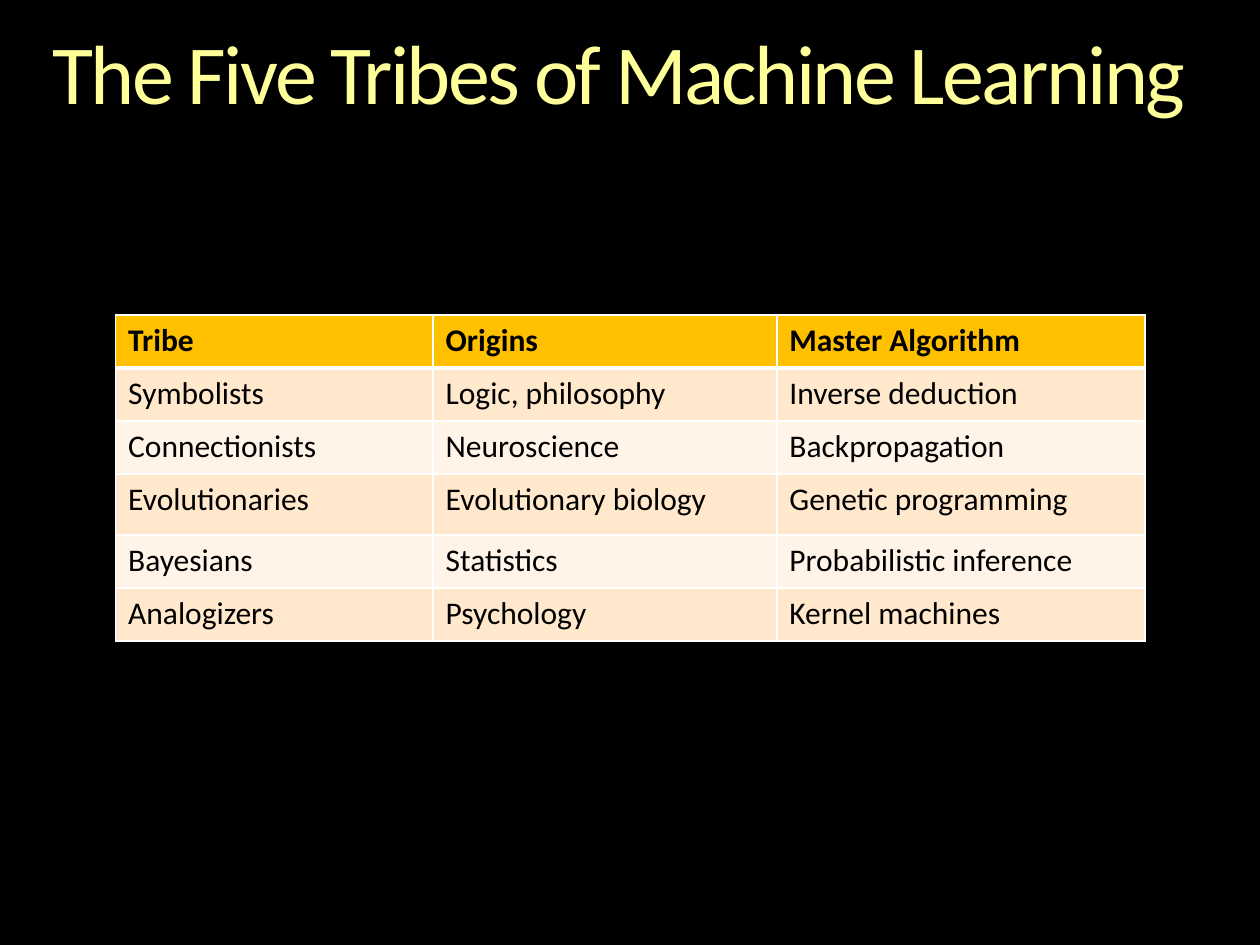
from dataclasses import dataclass

from lxml import etree
from pptx import Presentation
from pptx import util as u
from pptx.dml.color import RGBColor
from pptx.enum import text as t
from pptx.oxml.ns import qn


@dataclass(frozen=True)
class Theme:
    font: str = "Calibri"
    background: str = "000000"
    title: str = "FFFF99"
    ink: str = "000000"
    header: str = "FFC000"
    bands: tuple[str, str] = ("FFE8CC", "FFF4E7")
    border: str = "FFFFFF"
    title_size: int = 48
    table_size: int = 18
    thin: int = 1
    thick: int = 3


@dataclass(frozen=True)
class Tribe:
    name: str
    origins: str
    algorithm: str
    height: float = 1.07

    def cells(self) -> tuple[str, str, str]:
        return self.name, self.origins, self.algorithm


THEME = Theme()
COLUMN_WIDTHS = (6.4, 6.93, 7.42)
ROWS = (
    Tribe("Tribe", "Origins", "Master Algorithm"),
    Tribe("Symbolists", "Logic, philosophy", "Inverse deduction"),
    Tribe("Connectionists", "Neuroscience", "Backpropagation"),
    Tribe("Evolutionaries", "Evolutionary biology", "Genetic programming", height=1.22),
    Tribe("Bayesians", "Statistics", "Probabilistic inference"),
    Tribe("Analogizers", "Psychology", "Kernel machines"),
)


def write(frame, words: str, *, size: int, color: str, bold: bool = False,
          line_spacing: float = 1.0, tracking: float = 0) -> None:
    """Put one formatted paragraph in a text frame; tracking is in points."""
    paragraph = frame.paragraphs[0]
    paragraph.line_spacing = line_spacing
    run = paragraph.add_run()
    run.text = words
    run.font.name = THEME.font
    run.font.size = u.Pt(size)
    run.font.bold = bold
    run.font.color.rgb = RGBColor.from_string(color)
    if tracking:
        run.font._element.set("spc", str(round(tracking * 100)))


def set_borders(cell, *, top: int, bottom: int) -> None:
    """Draw the four cell borders, which must precede the fill in the XML."""
    properties = cell._tc.get_or_add_tcPr()
    widths = {"lnL": THEME.thin, "lnR": THEME.thin, "lnT": top, "lnB": bottom}
    for position, (side, width) in enumerate(widths.items()):
        line = etree.Element(qn(f"a:{side}"), w=str(u.Pt(width)))
        fill = etree.SubElement(line, qn("a:solidFill"))
        etree.SubElement(fill, qn("a:srgbClr"), val=THEME.border)
        properties.insert(position, line)


def add_title(slide, words: str) -> None:
    title = slide.shapes.add_textbox(u.Cm(1.06), u.Cm(0.64), u.Cm(23.28), u.Cm(1.85))
    frame = title.text_frame
    frame.word_wrap = True
    frame.vertical_anchor = t.MSO_ANCHOR.TOP
    frame.margin_left = frame.margin_right = frame.margin_top = frame.margin_bottom = 0
    write(frame, words, size=THEME.title_size, color=THEME.title,
          line_spacing=0.9, tracking=-1.5)


def add_tribe_table(slide, rows: tuple[Tribe, ...]) -> None:
    table = slide.shapes.add_table(
        len(rows), len(COLUMN_WIDTHS), u.Cm(2.33), u.Cm(6.35),
        u.Cm(sum(COLUMN_WIDTHS)), u.Cm(sum(row.height for row in rows))).table
    for column, width in zip(table.columns, COLUMN_WIDTHS):
        column.width = u.Cm(width)

    for index, tribe in enumerate(rows):
        is_header = index == 0
        table.rows[index].height = u.Cm(tribe.height)
        fill = THEME.header if is_header else THEME.bands[(index - 1) % 2]
        for cell, words in zip(table.rows[index].cells, tribe.cells()):
            cell.fill.solid()
            cell.fill.fore_color.rgb = RGBColor.from_string(fill)
            set_borders(cell, top=THEME.thick if index == 1 else THEME.thin,
                        bottom=THEME.thick if is_header else THEME.thin)
            write(cell.text_frame, words, size=THEME.table_size,
                  color=THEME.ink, bold=is_header)


def main() -> None:
    # Slide and background
    deck = Presentation()
    deck.slide_width, deck.slide_height = u.Cm(25.4), u.Cm(19.05)
    slide = deck.slides.add_slide(deck.slide_layouts[6])
    slide.background.fill.solid()
    slide.background.fill.fore_color.rgb = RGBColor.from_string(THEME.background)

    # Content
    add_title(slide, "The Five Tribes of Machine Learning")
    add_tribe_table(slide, ROWS)

    deck.save("out.pptx")


if __name__ == "__main__":
    main()
